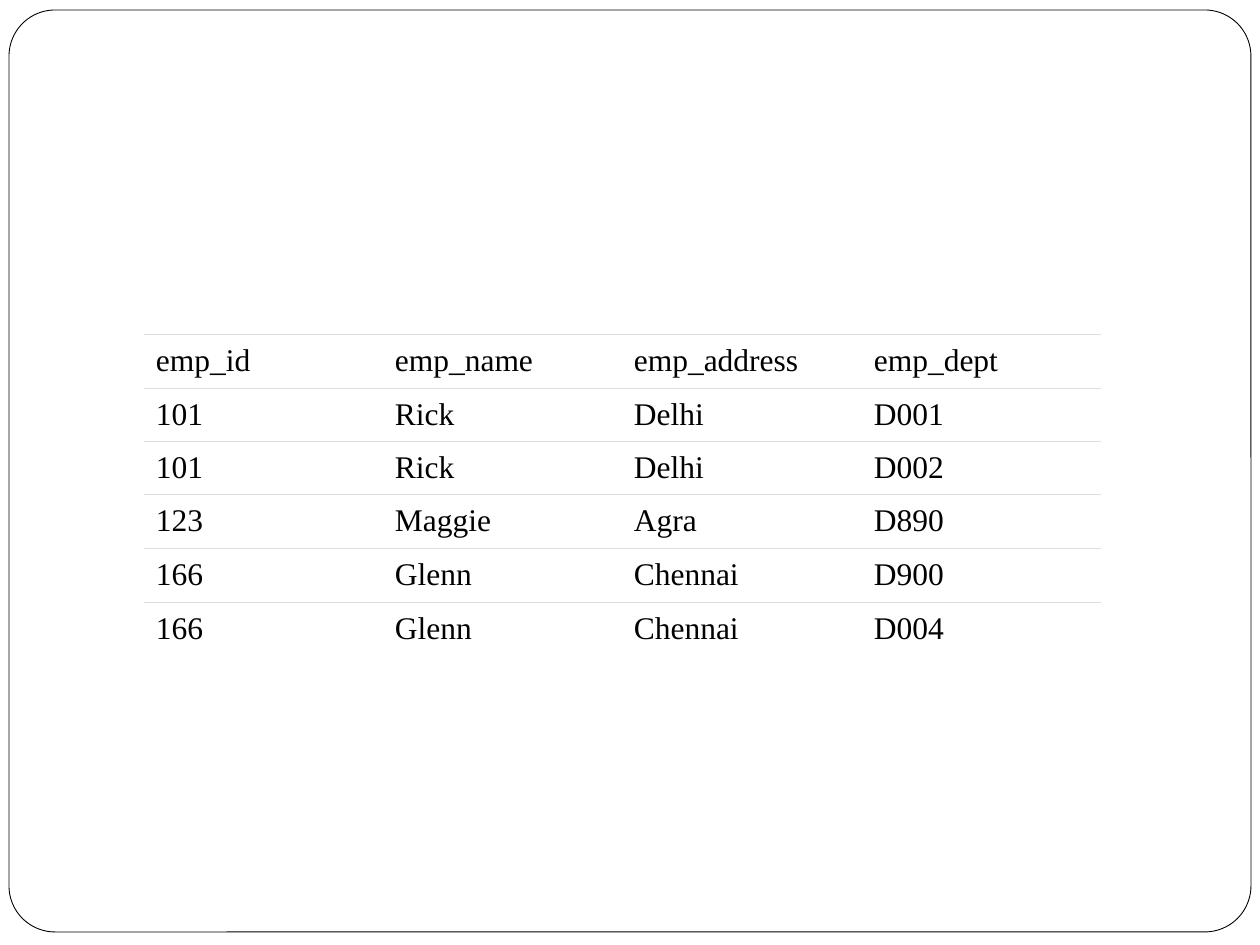
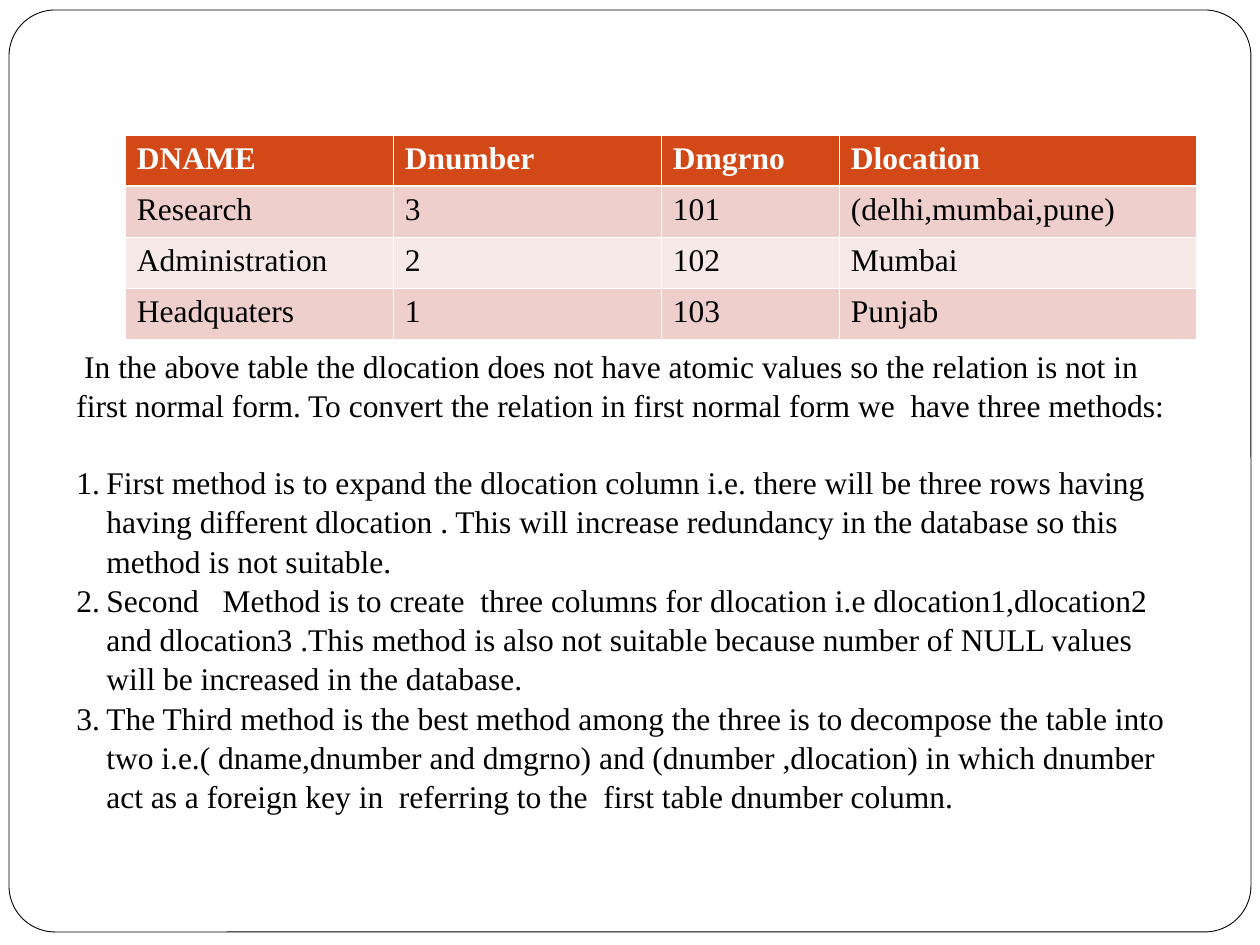
import pptx
import pptx.util
import pptx.dml.color
import pptx.enum.shapes
import pptx.enum.text
import pptx.oxml
import pptx.oxml.ns

EMU_PER_PX = 914400 / 126
SLIDE_SIZE = (1260, 945)
FRAME = (9, 10, 1242, 922)
COLOURS = {
    "paper": "FFFFFF",
    "ink": "000000",
    "rule": "DDDDDD",
    "header": "D34817",
    "band_dark": "EFCFCC",
    "band_light": "F7E9E7",
}

EMPLOYEES = [
    ("emp_id", "emp_name", "emp_address", "emp_dept"),
    ("101", "Rick", "Delhi", "D001"),
    ("101", "Rick", "Delhi", "D002"),
    ("123", "Maggie", "Agra", "D890"),
    ("166", "Glenn", "Chennai", "D900"),
    ("166", "Glenn", "Chennai", "D004"),
]
DEPARTMENTS = [
    ("DNAME", "Dnumber", "Dmgrno", "Dlocation"),
    ("Research", "3", "101", "(delhi,mumbai,pune)"),
    ("Administration", "2", "102", "Mumbai"),
    ("Headquaters", "1", "103", "Punjab"),
]
PROBLEM = (
    " In the above table the dlocation does not have atomic values so the relation is not in "
    "first normal form. To convert the relation in first normal form we  have three methods:"
)
METHODS = [
    "First method is to expand the dlocation column i.e. there will be three rows having  "
    "having different dlocation . This will increase redundancy in the database so this "
    "method is not suitable.",
    "Second   Method is to create  three columns for dlocation i.e dlocation1,dlocation2 "
    "and dlocation3 .This method is also not suitable because number of NULL values "
    "will be increased in the database.",
    "The Third method is the best method among the three is to decompose the table into "
    "two i.e.( dname,dnumber and dmgrno) and (dnumber ,dlocation) in which dnumber "
    "act as a foreign key in  referring to the  first table dnumber column.",
]


def px(length):
    return pptx.util.Emu(round(length * EMU_PER_PX))


def rgb(colour):
    return pptx.dml.color.RGBColor.from_string(COLOURS[colour])


def split_evenly(total, count):
    edges = [round(total * i / count) for i in range(count + 1)]
    return [end - start for start, end in zip(edges, edges[1:])]


class Deck:
    font_name = "Times New Roman"
    font_size = pptx.util.Pt(18)
    line_spacing = 1.04
    number_indent = 30

    def __init__(self):
        self.presentation = pptx.Presentation()
        self.presentation.slide_width, self.presentation.slide_height = map(px, SLIDE_SIZE)
        self.slide = None

    def add_slide(self):
        self.slide = self.presentation.slides.add_slide(self.presentation.slide_layouts[6])
        frame = self.slide.shapes.add_shape(
            pptx.enum.shapes.MSO_SHAPE.ROUNDED_RECTANGLE, *map(px, FRAME))
        frame.adjustments[0] = 0.05
        frame.shadow.inherit = False
        frame.fill.solid()
        frame.fill.fore_color.rgb = rgb("paper")
        frame.line.color.rgb = rgb("ink")
        frame.line.width = pptx.util.Pt(0.5)

    def style_runs(self, paragraph, colour="ink", bold=False):
        for run in paragraph.runs:
            run.font.name = self.font_name
            run.font.size = self.font_size
            run.font.bold = bold
            run.font.color.rgb = rgb(colour)

    def border(self, cell, sides):
        properties = cell._tc.get_or_add_tcPr()
        for position, side in enumerate("LRTB"):
            colour, points = sides.get(side, (None, 0))
            paint = (f'<a:solidFill><a:srgbClr val="{COLOURS[colour]}"/></a:solidFill>'
                     if colour else "<a:noFill/>")
            properties.insert(position, pptx.oxml.parse_xml(
                f'<a:ln{side} {pptx.oxml.ns.nsdecls("a")} w="{pptx.util.Pt(points)}">'
                f"{paint}</a:ln{side}>"))

    def table(self, left, top, widths, heights, rows, style_cell):
        table = self.slide.shapes.add_table(
            len(rows), len(widths), px(left), px(top), px(sum(widths)), px(sum(heights))).table
        table.first_row = table.horz_banding = False
        for column, width in zip(table.columns, widths):
            column.width = px(width)
        for row, height in zip(table.rows, heights):
            row.height = px(height)
        for row_index, values in enumerate(rows):
            for column_index, value in enumerate(values):
                cell = table.cell(row_index, column_index)
                cell.text_frame.text = value
                cell.margin_left = cell.margin_right = px(12)
                cell.margin_top = cell.margin_bottom = px(6)
                style_cell(cell, row_index, len(rows))

    def fill_cell(self, cell, colour):
        cell.fill.solid()
        cell.fill.fore_color.rgb = rgb(colour)

    def ruled_cell(self, cell, row_index, row_count):
        rule = ("rule", 0.34)
        self.fill_cell(cell, "paper")
        self.border(cell, {"T": rule} if row_index == row_count - 1 else {"T": rule, "B": rule})
        cell.vertical_anchor = pptx.enum.text.MSO_ANCHOR.MIDDLE
        self.style_runs(cell.text_frame.paragraphs[0])

    def banded_cell(self, cell, row_index, row_count):
        is_header = row_index == 0
        band = "band_dark" if row_index % 2 else "band_light"
        self.fill_cell(cell, "header" if is_header else band)
        sides = dict.fromkeys("LRTB", ("paper", 0.45))
        if row_index < 2:
            sides["B" if is_header else "T"] = ("paper", 1.47)
        self.border(cell, sides)
        self.style_runs(cell.text_frame.paragraphs[0], "paper" if is_header else "ink", is_header)

    def number(self, paragraph):
        properties = paragraph._p.get_or_add_pPr()
        properties.set("marL", str(px(self.number_indent)))
        properties.set("indent", str(-px(self.number_indent)))
        properties.append(pptx.oxml.parse_xml(
            f'<a:buClr {pptx.oxml.ns.nsdecls("a")}>'
            f'<a:srgbClr val="{COLOURS["ink"]}"/></a:buClr>'))
        properties.append(pptx.oxml.parse_xml(
            f'<a:buAutoNum {pptx.oxml.ns.nsdecls("a")} type="arabicPeriod"/>'))

    def explanation(self, left, top, width, height, opening, steps):
        frame = self.slide.shapes.add_textbox(*map(px, (left, top, width, height))).text_frame
        frame.word_wrap = True
        frame.text = opening
        for step in steps:
            paragraph = frame.add_paragraph()
            paragraph.text = step
            self.number(paragraph)
        for paragraph in frame.paragraphs:
            paragraph.line_spacing = self.line_spacing
            self.style_runs(paragraph)
        frame.paragraphs[1].space_before = pptx.util.Pt(21.6)


def main():
    deck = Deck()

    deck.add_slide()
    deck.table(144, 334, split_evenly(957, 4), split_evenly(321, len(EMPLOYEES)),
               EMPLOYEES, deck.ruled_cell)

    deck.add_slide()
    deck.table(125, 135, [268, 268, 178, 357], split_evenly(204, len(DEPARTMENTS)),
               DEPARTMENTS, deck.banded_cell)
    deck.explanation(64, 339, 1132, 542, PROBLEM, METHODS)

    deck.presentation.save("out.pptx")


if __name__ == "__main__":
    main()
